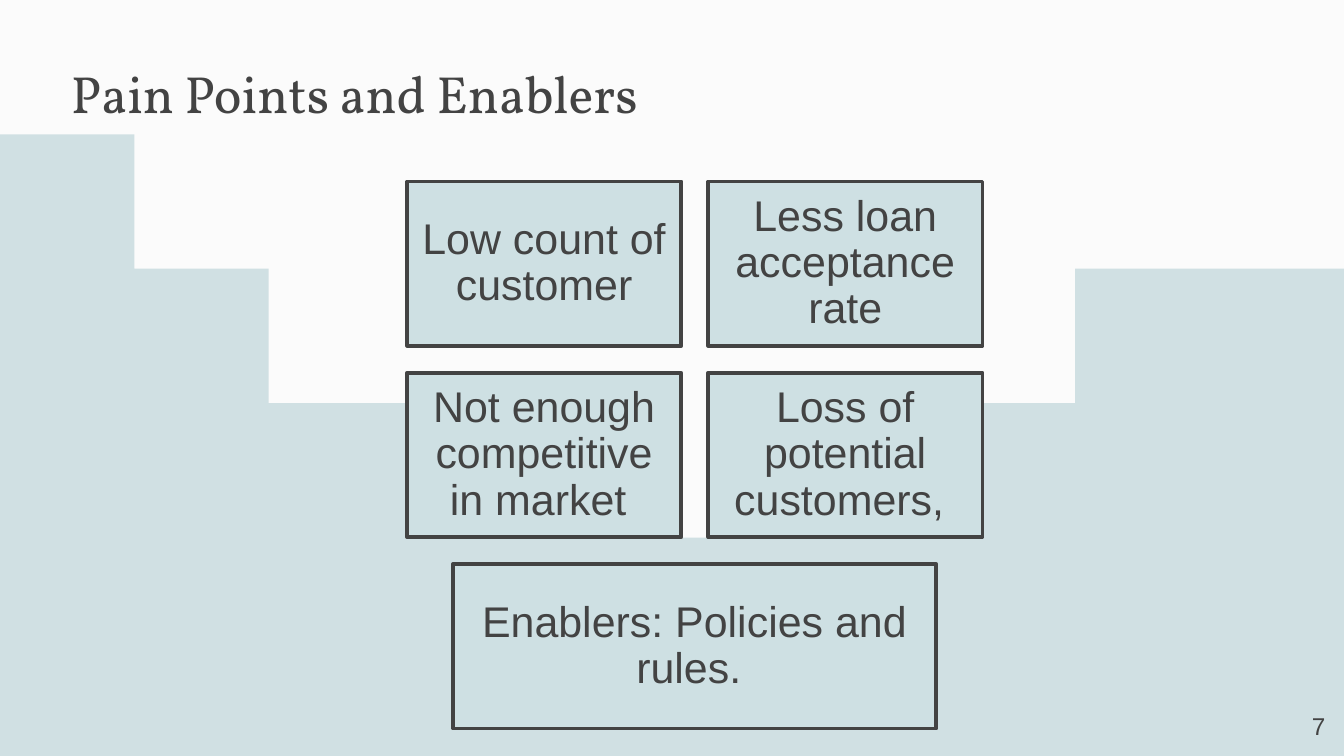
import pptx
import pptx.dml.color
import pptx.enum.shapes
import pptx.enum.text
import pptx.util

Inches = pptx.util.Inches
Align = pptx.enum.text.PP_ALIGN
Anchor = pptx.enum.text.MSO_ANCHOR

WIDTH, HEIGHT = 10, 5.625
COLORS = {"background": "FBFBFB", "wave": "D0E0E3", "card": "CEE0E3", "ink": "434343"}
CARD_ROWS = [
    ["Low count of customer", "Less loan acceptance rate"],
    ["Not enough competitive in market ", "Loss of potential customers, "],
    ["Enablers: Policies and rules. "],
]
# Each curve: two control points and an end point, in inches
WAVE_START = (0.07, 1.23)
WAVE_CURVES = [
    ((1.53, 1.23), (2.44, 3.17), (4.15, 3.7)),
    ((4.46, 3.79), (4.74, 3.83), (4.99, 3.83)),
    ((6.46, 3.83), (7.14, 2.43), (9.25, 2.24)),
    ((9.36, 2.23), (9.47, 2.23), (9.58, 2.23)),
    ((9.73, 2.23), (9.87, 2.24), (10, 2.25)),
]


def color(name):
    return pptx.dml.color.RGBColor.from_string(COLORS[name])


def fill_solid(fill, name):
    fill.solid()
    fill.fore_color.rgb = color(name)


def write_text(shape, text, size, font="Arial", align=Align.LEFT,
               anchor=Anchor.TOP, inset=0.1, spacing=None):
    frame = shape.text_frame
    frame_format = {
        "word_wrap": True, "vertical_anchor": anchor,
        "margin_left": Inches(0.1), "margin_right": Inches(0.1),
        "margin_top": Inches(inset), "margin_bottom": Inches(inset),
    }
    for name, value in frame_format.items():
        setattr(frame, name, value)
    paragraph = frame.paragraphs[0]
    paragraph.alignment = align
    if spacing:
        paragraph.line_spacing = spacing
    run = paragraph.add_run()
    run.text = text
    for name, value in {"name": font, "size": pptx.util.Pt(size)}.items():
        setattr(run.font, name, value)
    run.font.color.rgb = color("ink")


def curve_points(start, curve, steps=24):
    """Points along a cubic curve, without its start."""
    points = []
    for step in range(1, steps + 1):
        t = step / steps
        weights = ((1 - t) ** 3, 3 * t * (1 - t) ** 2, 3 * t * t * (1 - t), t ** 3)
        points.append(tuple(
            sum(weight * point[axis] for weight, point in zip(weights, (start, *curve)))
            for axis in (0, 1)))
    return points


def add_wave(slide):
    points, start = [], WAVE_START
    for curve in WAVE_CURVES:
        points += curve_points(start, curve)
        start = curve[-1]
    points += [(WIDTH, HEIGHT), (0, HEIGHT), (0, WAVE_START[1])]
    builder = slide.shapes.build_freeform(*WAVE_START, scale=Inches(1))
    builder.add_line_segments(points, close=True)
    wave = builder.convert_to_shape()
    wave.shadow.inherit = False
    fill_solid(wave.fill, "wave")
    wave.line.fill.background()


def add_label(slide, box, text, size, **text_format):
    label = slide.shapes.add_textbox(*map(Inches, box))
    write_text(label, text, size, **text_format)


def add_card(slide, box, text):
    card = slide.shapes.add_shape(
        pptx.enum.shapes.MSO_SHAPE.RECTANGLE, *map(Inches, box))
    card.shadow.inherit = False
    fill_solid(card.fill, "card")
    card.line.color.rgb = color("ink")
    card.line.width = pptx.util.Pt(2)
    write_text(card, text, 23, align=Align.CENTER, anchor=Anchor.MIDDLE, spacing=0.9)


def add_card_grid(slide, box, gap=0.2, single_share=0.84):
    """Rows of equal height; a lone card is centred and narrower than the grid."""
    left, top, width, height = box
    card_height = (height - gap * (len(CARD_ROWS) - 1)) / len(CARD_ROWS)
    for row, texts in enumerate(CARD_ROWS):
        count = len(texts)
        row_width = width if count > 1 else width * single_share
        row_left = left + (width - row_width) / 2
        card_width = (row_width - gap * (count - 1)) / count
        for column, text in enumerate(texts):
            add_card(slide, (row_left + column * (card_width + gap),
                             top + row * (card_height + gap),
                             card_width, card_height), text)


def main():
    presentation = pptx.Presentation()
    presentation.slide_width = Inches(WIDTH)
    presentation.slide_height = Inches(HEIGHT)
    slide = presentation.slides.add_slide(presentation.slide_layouts[6])

    # Background
    fill_solid(slide.background.fill, "background")
    add_wave(slide)

    # Title, cards and page number
    add_label(slide, (0.43, 0.41, 6.76, 1.28), "Pain Points and Enablers", 28,
              font="Vollkorn", inset=0.05)
    add_card_grid(slide, (3.03, 1.35, 4.28, 4.07))
    add_label(slide, (9.36, 5.19, 0.6, 0.43), "7", 13, align=Align.RIGHT)

    presentation.save("out.pptx")


if __name__ == "__main__":
    main()
